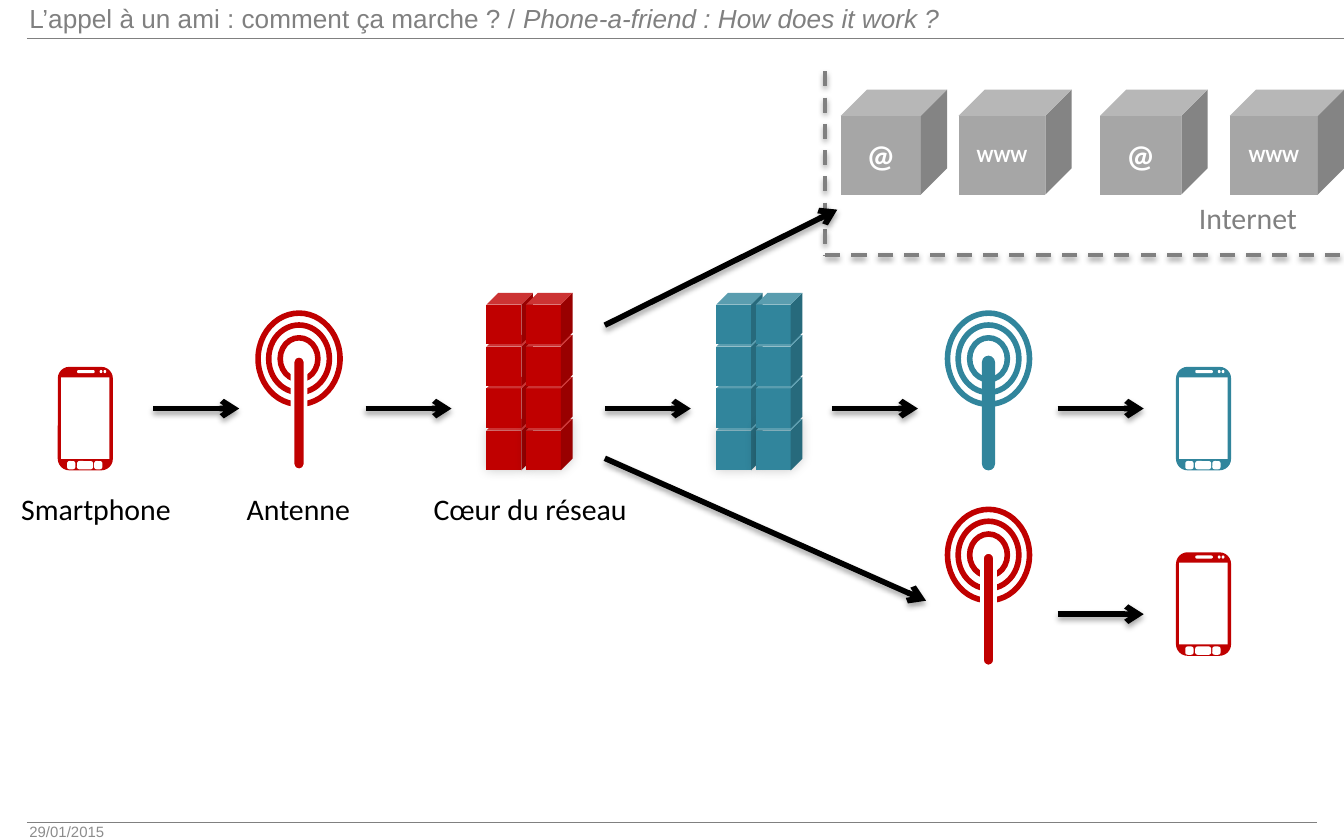
import dataclasses

import lxml.etree
import pptx
import pptx.dml.color
import pptx.enum.dml
import pptx.enum.shapes
import pptx.enum.text
import pptx.oxml.ns
import pptx.util

SHAPE = pptx.enum.shapes.MSO_SHAPE
ALIGN = pptx.enum.text.PP_ALIGN
ANCHOR = pptx.enum.text.MSO_ANCHOR
SLIDE_WIDTH, SLIDE_HEIGHT = pptx.util.Inches(10), pptx.util.Inches(6.25)
COLUMNS, ROWS = 100, 62.5


@dataclasses.dataclass(frozen=True)
class Theme:
    """Colours, fonts, type sizes, line widths and shadows."""
    caller: str = "C00000"
    friend: str = "31859C"
    internet: str = "A6A6A6"
    muted: str = "808080"
    date: str = "8C8C8C"
    ink: str = "000000"
    paper: str = "FFFFFF"
    heading_font: str = "Arial"
    body_font: str = "Calibri"
    title_size: float = 14
    date_size: float = 8
    label_size: float = 16
    at_size: float = 17
    web_size: float = 10
    rule: float = 0.5
    border: float = 2
    stroke: float = 3
    tower_shadow: tuple = (20, 6, 0, 315)
    border_shadow: tuple = (38, 3.1, 1.6, 90)
    arrow_shadow: tuple = (35, 3.1, 1.8, 90)


THEME = Theme()


@dataclasses.dataclass(frozen=True)
class Box:
    """Area in grid columns and rows."""
    left: float
    top: float
    width: float
    height: float

    def share(self, left, top, width, height):
        """Return an inner area given as shares of this one."""
        return Box(self.left + left * self.width, self.top + top * self.height,
                   width * self.width, height * self.height)

    def emu(self):
        """Return left, top, width and height in slide units."""
        return (*point(self.left, self.top), *point(self.width, self.height))


def point(column, row):
    """Convert a grid position to slide units."""
    return round(column * SLIDE_WIDTH / COLUMNS), round(row * SLIDE_HEIGHT / ROWS)


def rgb(colour):
    """Return a colour object."""
    return pptx.dml.color.RGBColor.from_string(colour)


def add_shadow(effects, shadow):
    """Add an outer shadow to an effect list."""
    alpha, blur, distance, direction = shadow
    qn = pptx.oxml.ns.qn
    outer = lxml.etree.SubElement(
        effects, qn("a:outerShdw"), blurRad=str(pptx.util.Pt(blur)),
        dist=str(pptx.util.Pt(distance)), dir=str(direction * 60000), rotWithShape="0")
    colour = lxml.etree.SubElement(outer, qn("a:srgbClr"), val=THEME.ink)
    lxml.etree.SubElement(colour, qn("a:alpha"), val=str(alpha * 1000))


def add_part(shapes, preset, box, fill=None, line=None, width=0, corner=None, shadow=None):
    """Add one preset shape with its fill, outline and shadow."""
    part = shapes.add_shape(preset, *box.emu())
    part.shadow.inherit = False
    if fill:
        part.fill.solid()
        part.fill.fore_color.rgb = rgb(fill)
    else:
        part.fill.background()
    if line:
        part.line.color.rgb = rgb(line)
        part.line.width = pptx.util.Pt(width)
    else:
        part.line.fill.background()
    if corner is not None:
        part.adjustments[0] = corner
    if shadow:
        add_shadow(part._element.spPr.find(pptx.oxml.ns.qn("a:effectLst")), shadow)
    return part


def add_line(shapes, start, end, colour, width, shadow=None, dashed=False, arrow=False):
    """Add a straight line between two grid positions."""
    line = shapes.add_connector(pptx.enum.shapes.MSO_CONNECTOR.STRAIGHT,
                                *point(*start), *point(*end))
    line.line.color.rgb = rgb(colour)
    line.line.width = pptx.util.Pt(width)
    if dashed:
        line.line.dash_style = pptx.enum.dml.MSO_LINE.DASH
    properties = line._element.spPr
    qn = pptx.oxml.ns.qn
    if arrow:
        lxml.etree.SubElement(properties.find(qn("a:ln")), qn("a:tailEnd"), type="arrow")
    effects = lxml.etree.SubElement(properties, qn("a:effectLst"))
    if shadow:
        add_shadow(effects, shadow)


def style_run(run, font, size, colour, bold=False, italic=False):
    """Format one run."""
    run.font.name = font
    run.font.size = pptx.util.Pt(size)
    run.font.color.rgb = rgb(colour)
    run.font.bold = bold
    run.font.italic = italic


def add_text(shapes, box, text, font, size, colour, align=ALIGN.CENTER, anchor=ANCHOR.TOP):
    """Add a text box with one paragraph and return the paragraph."""
    frame = shapes.add_textbox(*box.emu()).text_frame
    frame.word_wrap = True
    frame.vertical_anchor = anchor
    frame.margin_top = frame.margin_bottom = pptx.util.Inches(0.04)
    frame.text = text
    paragraph = frame.paragraphs[0]
    paragraph.alignment = align
    style_run(paragraph.runs[0], font, size, colour)
    return paragraph


def draw_header(shapes, box):
    """Draw the bilingual title and its rule."""
    add_line(shapes, (2, box.top + box.height), (COLUMNS, box.top + box.height),
             THEME.muted, THEME.rule)
    title = add_text(shapes, box, "L’appel à un ami : comment ça marche ? / ",
                     THEME.heading_font, THEME.title_size, THEME.muted, ALIGN.LEFT,
                     ANCHOR.BOTTOM)
    english = title.add_run()
    english.text = "Phone-a-friend : How does it work ?"
    style_run(english, THEME.heading_font, THEME.title_size, THEME.muted, italic=True)


def draw_footer(shapes, box):
    """Draw the date and the rule above it."""
    add_line(shapes, (2, box.top), (98, box.top), THEME.muted, THEME.rule)
    add_text(shapes, box, "29/01/2015", THEME.heading_font, THEME.date_size, THEME.date,
             ALIGN.LEFT, ANCHOR.MIDDLE)


def draw_phone(shapes, box, colour):
    """Draw a smartphone that fills the box."""
    phone = shapes.add_group_shape().shapes
    add_part(phone, SHAPE.ROUNDED_RECTANGLE, box, colour, corner=0.21)
    add_part(phone, SHAPE.RECTANGLE, box.share(0.06, 0.1, 0.88, 0.79), THEME.paper)
    add_part(phone, SHAPE.ROUNDED_RECTANGLE, box.share(0.35, 0.03, 0.32, 0.03),
             THEME.paper, corner=0.5)
    for left, width in ((0.17, 0.15), (0.66, 0.15), (0.35, 0.29)):
        add_part(phone, SHAPE.ROUNDED_RECTANGLE, box.share(left, 0.91, width, 0.08),
                 THEME.paper, corner=0.28)
    for left in (0.76, 0.83):
        add_part(phone, SHAPE.OVAL, box.share(left, 0.03, 0.05, 0.03), THEME.paper)


def draw_antenna(shapes, box, colour, stem_line=None):
    """Draw three concentric rings on a mast."""
    antenna = shapes.add_group_shape().shapes
    rings = box.share(0, 0, 1, 0.58)
    for inset in (0, 0.13, 0.27):
        add_part(antenna, SHAPE.OVAL, rings.share(inset, inset, 1 - 2 * inset, 1 - 2 * inset),
                 line=colour, width=THEME.stroke)
    add_part(antenna, SHAPE.ROUNDED_RECTANGLE, box.share(0.42, 0.27, 0.16, 0.73), colour,
             stem_line, THEME.border, 0.5)


def draw_core(shapes, box, colour, columns=2, rows=4):
    """Draw a network core as stacked cubes, from the bottom up."""
    core = shapes.add_group_shape().shapes
    width, height = 0.54, 0.29
    for column in range(columns):
        for row in reversed(range(rows)):
            cube = box.share(column * (1 - width) / (columns - 1),
                             row * (1 - height) / (rows - 1), width, height)
            add_part(core, SHAPE.CUBE, cube, colour,
                     shadow=THEME.tower_shadow if row == rows - 1 else None)


def draw_internet(shapes, box):
    """Draw the dashed Internet zone with its servers."""
    right, bottom = box.left + box.width, box.top + box.height
    for start, end in (((box.left, bottom), (right, bottom)),
                       ((box.left, box.top), (box.left, bottom))):
        add_line(shapes, start, end, THEME.muted, THEME.border, THEME.border_shadow, dashed=True)
    add_text(shapes, box.share(0.64, 0.67, 0.35, 0.27), "Internet", THEME.body_font,
             THEME.label_size, THEME.muted)
    servers = ((0.03, 0.205, "@", THEME.at_size), (0.257, 0.218, "WWW", THEME.web_size),
               (0.53, 0.207, "@", THEME.at_size), (0.78, 0.22, "WWW", THEME.web_size))
    for left, width, service, size in servers:
        server = add_part(shapes, SHAPE.CUBE, box.share(left, 0.1, width, 0.57), THEME.internet)
        frame = server.text_frame
        frame.word_wrap = False
        frame.vertical_anchor = ANCHOR.MIDDLE
        frame.text = service
        frame.paragraphs[0].alignment = ALIGN.CENTER
        style_run(frame.paragraphs[0].runs[0], THEME.body_font, size, THEME.paper, bold=True)


def draw_network(shapes, box):
    """Draw the call path, its branches and its labels."""
    left, top = box.left, box.top
    for column, width, label in ((0, 14.3, "Smartphone"), (13.7, 17, "Antenne"),
                                 (28.9, 21.1, "Cœur du réseau")):
        add_text(shapes, Box(left + column, top + 14.3, width, 3.5), label,
                 THEME.body_font, THEME.label_size, THEME.ink)
    for column, colour in ((36.2, THEME.caller), (53.3, THEME.friend)):
        draw_core(shapes, Box(left + column, top, 6.4, 13.2), colour)
    for column, row, colour, outline in ((19.2, 1.5, THEME.caller, THEME.paper),
                                         (70.5, 1.5, THEME.friend, None),
                                         (70.5, 16.1, THEME.caller, THEME.paper)):
        draw_antenna(shapes, Box(left + column, top + row, 6.1, 11.7), colour, outline)
    for column, row, colour in ((4.3, 5.5, THEME.caller), (87.5, 5.5, THEME.friend),
                                (87.5, 19.3, THEME.caller)):
        draw_phone(shapes, Box(left + column, top + row, 4.1, 7.7), colour)
    steps = [(column, 8.6) for column in (11.4, 27.2, 45, 61.9, 78.7)] + [(78.7, 23.9)]
    routes = [(step, (step[0] + 6.4, step[1])) for step in steps]
    routes += [((45, 12.3), (68.9, 22.9)), ((45, 2.4), (62.3, -6.2))]
    for start, end in routes:
        add_line(shapes, (left + start[0], top + start[1]), (left + end[0], top + end[1]),
                 THEME.ink, THEME.stroke, THEME.arrow_shadow, arrow=True)


def main():
    """Build and save the slide."""
    deck = pptx.Presentation()
    deck.slide_width, deck.slide_height = SLIDE_WIDTH, SLIDE_HEIGHT
    shapes = deck.slides.add_slide(deck.slide_layouts[6]).shapes
    draw_header(shapes, Box(1.2, 0, 89, 2.9))
    draw_footer(shapes, Box(1.2, 61.2, 23.3, 1.3))
    draw_internet(shapes, Box(61.4, 5.3, 38.6, 13.7))
    draw_network(shapes, Box(0, 21.8, COLUMNS, 27.8))
    deck.save("out.pptx")


if __name__ == "__main__":
    main()
